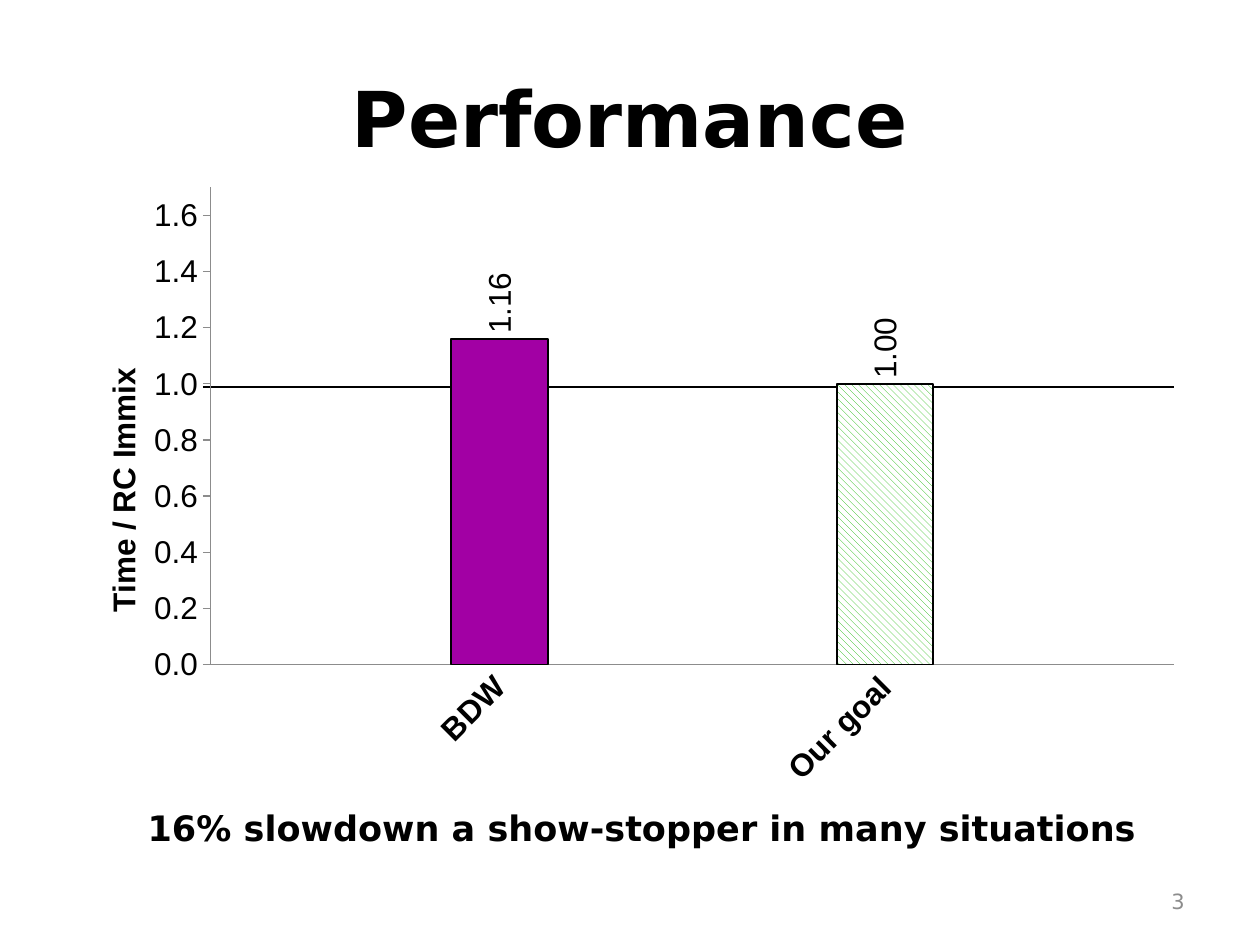
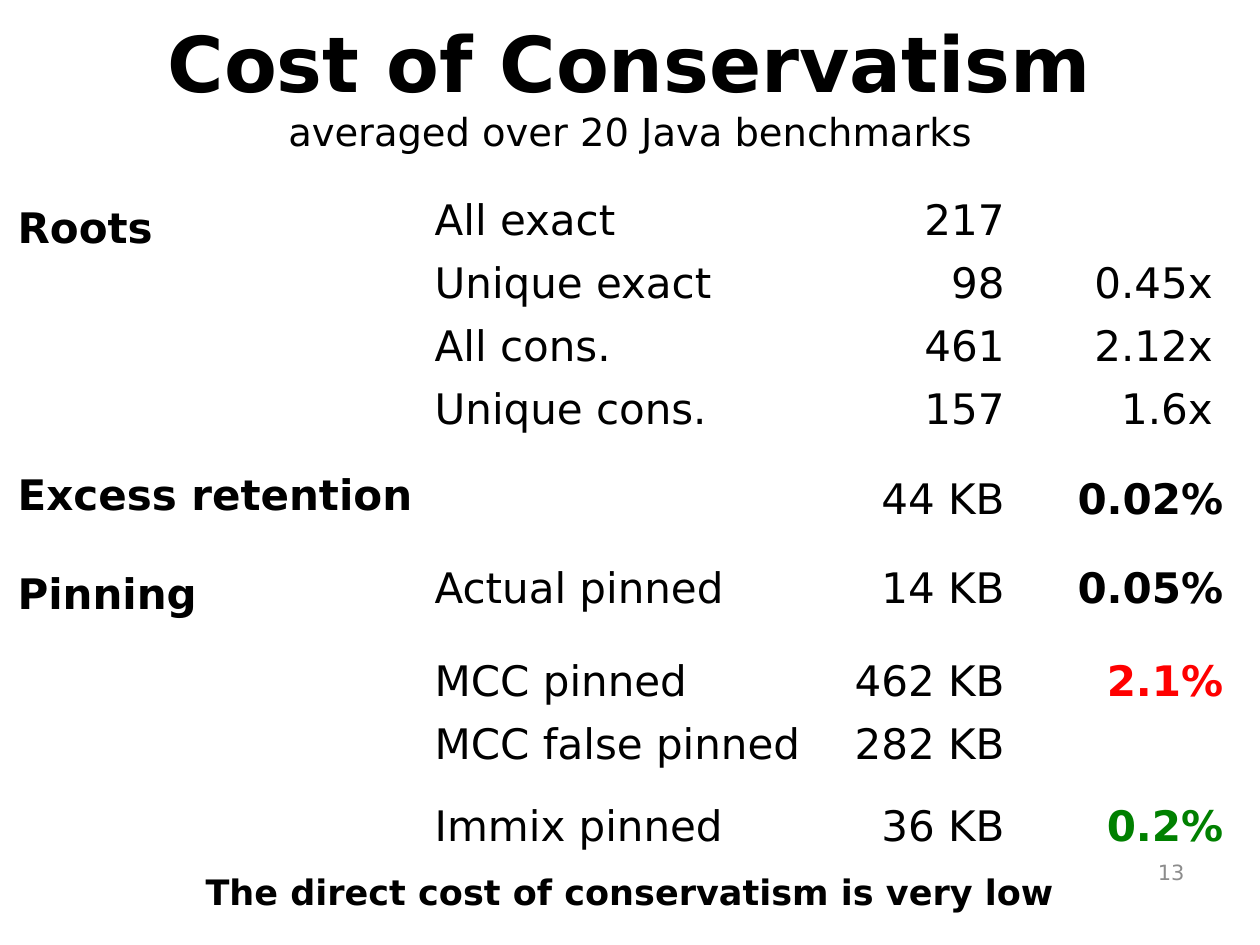
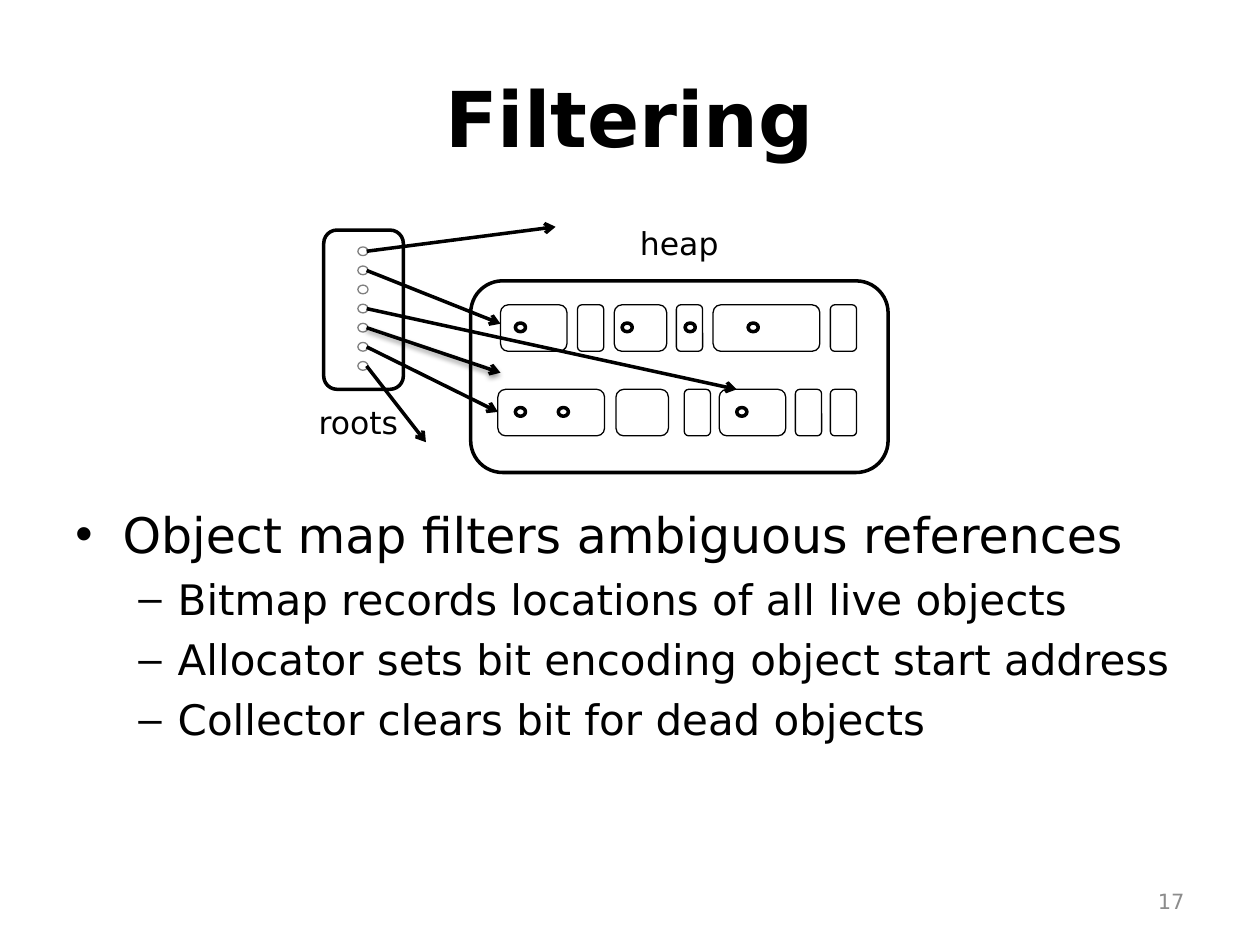
from lxml.etree import SubElement as Sub
from pptx import Presentation
from pptx.chart.data import CategoryChartData as ChartData
from pptx.dml.color import RGBColor as RGB
from pptx.enum.chart import XL_CHART_TYPE as Kind, XL_LABEL_POSITION as Spot, XL_TICK_MARK as Tick
from pptx.enum.dml import MSO_PATTERN as Pat
from pptx.enum.shapes import MSO_CONNECTOR as Conn, MSO_SHAPE as Geo
from pptx.enum.text import MSO_ANCHOR as Anchor, PP_ALIGN as Align
from pptx.oxml.ns import qn
from pptx.util import Pt

BLACK = RGB(0, 0, 0)
WHITE = RGB(255, 255, 255)
GREY = RGB(0x8C, 0x8C, 0x8C)
RING = RGB(0x80, 0x80, 0x80)
PURPLE = RGB(0xA2, 0, 0xA4)
LIME = RGB(0x18, 0xB7, 0x03)
RED = RGB(255, 0, 0)
GREEN = RGB(0, 0x80, 0)
SANS, ARIAL = "DejaVu Sans", "Arial"

# Performance: bars, with an empty slot around each
BARS = [("", None), ("BDW", 1.16), ("", None), ("Our goal", 1), ("", None)]

# Cost: section labels (top, text)
HEADS = [(111.5, "Roots"), (264, "Excess retention"), (321, "Pinning")]
# Cost: tables (top, last column width, rows); a colour marks a bold result
COSTS = [
    (108.5, 119, [("All exact", "217", ""), ("Unique exact", "98", "0.45x"),
                  ("All cons.", "461", "2.12x"), ("Unique cons.", "157", "1.6x")]),
    (268, 125, [("", "44 KB", "0.02%", BLACK)]),
    (319, 125, [("Actual pinned", "14 KB", "0.05%", BLACK)]),
    (372, 125, [("MCC pinned", "462 KB", "2.1%", RED), ("MCC false pinned", "282 KB", "")]),
    (455, 125, [("Immix pinned", "36 KB", "0.2%", GREEN)]),
]

# Filtering: heap rows (top, blocks as left and width, lefts of the marks)
HEAP = [
    (174.2, [(286, 38), (330, 15), (351, 30), (386.5, 15), (407.5, 61), (474.5, 15)],
     [294.5, 355.5, 391.5, 427.5]),
    (222.5, [(284.5, 61), (352, 30), (391, 15), (411, 38), (454.5, 15), (474.5, 15)],
     [294.5, 319, 421]),
]
ROOTS, STEP = 7, 10.92
# Filtering: arrows (root index, end x, end y, shaded)
REFS = [(0, 317.5, 129.6, False), (6, 243.4, 252.7, False), (1, 286, 185, False),
        (3, 421, 222.5, False), (5, 284.5, 235.4, False), (4, 286, 213, True)]
POINTS = [
    (0, "Object map filters ambiguous references"),
    (1, "Bitmap records locations of all live objects"),
    (1, "Allocator sets bit encoding object start address"),
    (1, "Collector clears bit for dead objects"),
]
# size, bullet, left margin, hang, space before
LEVELS = [(28, "•", 27, 27, 0), (24, "–", 58.5, 22.5, 5.6)]


def style(font, size, bold=False, color=BLACK, name=SANS):
    font.size, font.bold, font.name = Pt(size), bold, name
    font.color.rgb = color


def write(slide, box, text, size, bold=False, color=BLACK, align=Align.LEFT, anchor=Anchor.TOP):
    frame = slide.shapes.add_textbox(*map(Pt, box)).text_frame
    frame.word_wrap = True
    frame.vertical_anchor = anchor
    frame.text = text
    for para in frame.paragraphs:
        para.alignment = align
        for run in para.runs:
            style(run.font, size, bold, color)
    return frame


def start(deck, title, page, top=21.6, foot=500.4):
    slide = deck.slides.add_slide(deck.slide_layouts[6])
    head = write(slide, (36, top, 648, 90), title, 44, True,
                 align=Align.CENTER, anchor=Anchor.MIDDLE)
    write(slide, (516, foot, 168, 28.8), page, 12, color=GREY,
          align=Align.RIGHT, anchor=Anchor.MIDDLE)
    return slide, head


def close(slide, top, text):
    write(slide, (14.4, top, 698, 31.5), text, 20, True, align=Align.CENTER)


def link(slide, x1, y1, x2, y2, width):
    line = slide.shapes.add_connector(Conn.STRAIGHT, Pt(x1), Pt(y1), Pt(x2), Pt(y2))
    line.line.color.rgb = BLACK
    line.line.width = Pt(width)
    return line, Sub(line._element.spPr, qn("a:effectLst"))


def shape(slide, geo, box, width, color=BLACK):
    item = slide.shapes.add_shape(geo, *map(Pt, box))
    item.shadow.inherit = False
    item.fill.solid()
    item.fill.fore_color.rgb = WHITE
    item.line.color.rgb = color
    item.line.width = Pt(width)


def place(part, **sides):
    """Fix a chart part by fractions of the chart."""
    lay = part.find(qn("c:layout"))
    if lay is None:
        lay = Sub(part, qn("c:layout"))
        part.insert(0, lay)
    man = Sub(lay, qn("c:manualLayout"))
    if "w" in sides:
        Sub(man, qn("c:layoutTarget")).set("val", "inner")
    for side in "xy":
        Sub(man, qn(f"c:{side}Mode")).set("val", "edge")
    for side, part in sides.items():
        Sub(man, qn(f"c:{side}")).set("val", str(part))


def turn(part, angle):
    part.find(qn("c:txPr")).find(qn("a:bodyPr")).set("rot", str(angle * 60000))


def performance(deck):
    slide, _ = start(deck, "Performance", "3")
    link(slide, 116, 221, 671, 221, 1)
    data = ChartData()
    data.categories = [name for name, _ in BARS]
    data.add_series("Series 1", [value for _, value in BARS])
    chart = slide.shapes.add_chart(Kind.COLUMN_CLUSTERED, Pt(36), Pt(100), Pt(648),
                                   Pt(356.4), data).chart
    chart.has_legend = chart.has_title = False
    style(chart.font, 18, name=ARIAL)
    place(chart._chartSpace.chart.plotArea, x=0.13, y=0.02, w=0.85, h=0.765)

    # Axes
    cat, val = chart.category_axis, chart.value_axis
    for axis in (cat, val):
        axis.format.line.color.rgb = GREY
        axis.has_major_gridlines = False
    cat.major_tick_mark = Tick.NONE
    style(cat.tick_labels.font, 18, True, name=ARIAL)
    turn(cat._element, -45)
    val.minimum_scale, val.maximum_scale, val.major_unit = 0, 1.7, 0.2
    val.major_tick_mark = Tick.OUTSIDE
    val.tick_labels.number_format = "0.0"
    val.tick_labels.number_format_is_linked = False
    title = val.axis_title
    title.text_frame.text = "Time / RC Immix"
    style(title.text_frame.paragraphs[0].runs[0].font, 18, True, name=ARIAL)
    place(title._element, x=0.03, y=0.3)

    # Bars and their labels
    plot = chart.plots[0]
    plot.vary_by_categories = False
    plot.gap_width, plot.overlap = 100, 100
    row = plot.series[0]
    row.invert_if_negative = False
    solid, goal = (row.points[i].format for i in (1, 3))
    solid.fill.solid()
    solid.fill.fore_color.rgb = PURPLE
    goal.fill.patterned()
    goal.fill.pattern = Pat.WIDE_DOWNWARD_DIAGONAL
    goal.fill.fore_color.rgb, goal.fill.back_color.rgb = LIME, WHITE
    for bar in (solid, goal):
        bar.line.color.rgb = BLACK
        bar.line.width = Pt(1)
    tags = row.data_labels
    tags.show_value = True
    tags.position = Spot.OUTSIDE_END
    tags.number_format, tags.number_format_is_linked = "0.00", False
    style(tags.font, 18, name=ARIAL)
    turn(tags._element, -90)
    close(slide, 457.2, " 16% slowdown a show-stopper in many situations")


def cost(deck):
    slide, head = start(deck, "Cost of Conservatism\vaveraged over 20 Java benchmarks", "13",
                        top=3.6, foot=483.8)
    style(head.paragraphs[0].runs[1].font, 22)
    for top, text in HEADS:
        write(slide, (3, top, 241, 36), text, 24, True)
    for top, last, rows in COSTS:
        wide = (227, 113, last)
        grid = slide.shapes.add_table(len(rows), 3, Pt(241.2), Pt(top), Pt(sum(wide)),
                                      Pt(35 * len(rows))).table
        grid.first_row = grid.horz_banding = False
        for col, width in zip(grid.columns, wide):
            col.width = Pt(width)
        for r, (*texts, mark) in enumerate(row if len(row) == 4 else (*row, None) for row in rows):
            for c, text in enumerate(texts):
                cell = grid.cell(r, c)
                cell.fill.background()
                cell.text = text
                para = cell.text_frame.paragraphs[0]
                para.alignment = Align.RIGHT if c else Align.LEFT
                bold = c == 2 and mark is not None
                for run in para.runs:
                    style(run.font, 24, bold, mark if bold else BLACK)
    close(slide, 494, "The direct cost of conservatism is very low ")


def filtering(deck):
    slide, _ = start(deck, "Filtering", "17")

    # Heap and roots
    shape(slide, Geo.ROUNDED_RECTANGLE, (269, 160.5, 238.5, 109.5), 2)
    for top, blocks, marks in HEAP:
        for left, width in blocks:
            shape(slide, Geo.ROUNDED_RECTANGLE, (left, top, width, 26.6), 0.75)
        for left in marks:
            shape(slide, Geo.OVAL, (left, top + 10.4, 5.8, 5), 2)
    shape(slide, Geo.ROUNDED_RECTANGLE, (185, 131.5, 45.5, 91), 2)
    for i in range(ROOTS):
        shape(slide, Geo.OVAL, (204.5, 141.1 + i * STEP, 5.8, 5), 0.75, RING)
    write(slide, (175, 226.8, 66, 27.4), "roots", 18)
    write(slide, (358.6, 124.6, 64, 27.4), "heap", 18)

    # References
    for i, x, y, shaded in REFS:
        line, fx = link(slide, 209.5, 143.6 + i * STEP, x, y, 2)
        Sub(line.line._get_or_add_ln(), qn("a:tailEnd")).set("type", "arrow")
        if shaded:
            cast = Sub(fx, qn("a:outerShdw"), blurRad=str(Pt(3.1)), dist=str(Pt(1.6)),
                       dir="5400000", rotWithShape="0")
            tone = Sub(cast, qn("a:srgbClr"), val=str(BLACK))
            Sub(tone, qn("a:alpha"), val="38000")

    # Bullets
    frame = write(slide, (36, 284.7, 648, 198), "\n".join(text for _, text in POINTS), 28)
    for para, (level, _) in zip(frame.paragraphs, POINTS):
        size, mark, left, hang, gap = LEVELS[level]
        para.level = level
        para.space_before = Pt(gap)
        style(para.runs[0].font, size)
        props = para._p.get_or_add_pPr()
        props.set("marL", str(Pt(left)))
        props.set("indent", str(-Pt(hang)))
        Sub(props, qn("a:buFont"), typeface=ARIAL)
        Sub(props, qn("a:buChar"), char=mark)


def main():
    deck = Presentation()
    deck.slide_width, deck.slide_height = Pt(720), Pt(540)
    for build in (performance, cost, filtering):
        build(deck)
    deck.save("out.pptx")


if __name__ == "__main__":
    main()
